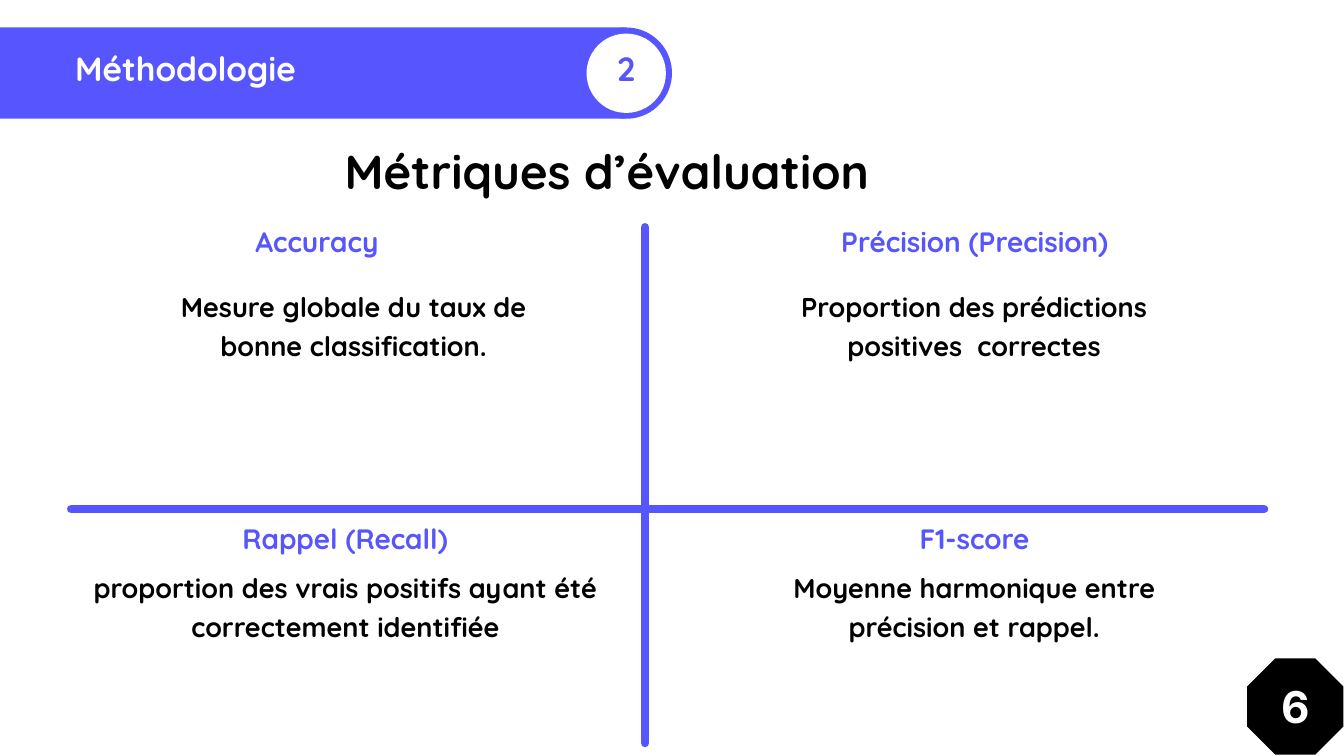
from dataclasses import dataclass

import pptx
import pptx.dml.color
import pptx.enum.shapes
import pptx.enum.text
import pptx.oxml
import pptx.oxml.ns
import pptx.util

Cm = pptx.util.Cm
Pt = pptx.util.Pt
Kind = pptx.enum.shapes.MSO_SHAPE
Align = pptx.enum.text.PP_ALIGN
Anchor = pptx.enum.text.MSO_ANCHOR


@dataclass(frozen=True)
class Style:
    font: str
    size: float
    lead: float
    color: str


class Theme:
    violet = "5755FE"
    white = "FFFFFF"
    black = "000000"
    stroke = 9
    title = Style("Quicksand", 51, 61.2, black)
    band = Style("Quicksand", 36, 43.2, white)
    step = Style("Quicksand", 36, 43.2, violet)
    head = Style("Quicksand", 30, 36, violet)
    body = Style("Quicksand", 29.1, 41.3, black)
    page = Style("Inter", 47, 65.8, white)


def rgb(code):
    return pptx.dml.color.RGBColor.from_string(code)


def write(shape, text, style, align=Align.CENTER, anchor=Anchor.TOP):
    frame = shape.text_frame
    frame.text = text
    frame.word_wrap = True
    frame.auto_size = pptx.enum.text.MSO_AUTO_SIZE.NONE
    frame.vertical_anchor = anchor
    frame.margin_left = frame.margin_right = Cm(0)
    frame.margin_top = frame.margin_bottom = Cm(0)
    for para in frame.paragraphs:
        para.alignment = align
        para.line_spacing = Pt(style.lead)
        for run in para.runs:
            run.font.name = style.font
            run.font.size = Pt(style.size)
            run.font.bold = True
            run.font.color.rgb = rgb(style.color)


def label(slide, box, text, style, align=Align.CENTER):
    shape = slide.shapes.add_textbox(*map(Cm, box))
    write(shape, text, style, align)


def block(slide, kind, box, color):
    shape = slide.shapes.add_shape(kind, *map(Cm, box))
    shape.shadow.inherit = False
    shape.fill.solid()
    shape.fill.fore_color.rgb = rgb(color)
    shape.line.fill.background()
    return shape


def rule(slide, *ends):
    straight = pptx.enum.shapes.MSO_CONNECTOR.STRAIGHT
    line = slide.shapes.add_connector(straight, *map(Cm, ends))
    line.line.color.rgb = rgb(Theme.violet)
    line.line.width = Pt(Theme.stroke)
    props = line._element.spPr
    props.find(pptx.oxml.ns.qn("a:ln")).set("cap", "rnd")
    props.append(pptx.oxml.parse_xml(f"<a:effectLst {pptx.oxml.ns.nsdecls('a')}/>"))


def banner(slide):
    block(slide, Kind.RECTANGLE, (0, 1.04, 23.65, 3.45), Theme.violet)
    block(slide, Kind.OVAL, (21.95, 1.04, 3.45, 3.45), Theme.violet)
    block(slide, Kind.OVAL, (22.17, 1.27, 3, 3), Theme.white)
    label(slide, (2.84, 1.8, 18.62, 1.73), "Méthodologie", Theme.band, Align.LEFT)
    label(slide, (22.94, 1.8, 1.45, 1.73), "2", Theme.step)


def title(slide):
    shape = slide.shapes.title
    shape.left, shape.top = Cm(12.09), Cm(5.36)
    shape.width, shape.height = Cm(21.69), Cm(2.44)
    write(shape, "Métriques d’évaluation", Theme.title)


def grid(slide):
    rule(slide, 2.69, 19.25, 47.78, 19.25)
    rule(slide, 24.38, 28.09, 24.38, 8.59)
    rows = (
        (8.48, 10.77, (
            ("Accuracy", 9.65, 6.81, Align.LEFT,
             "Mesure globale du taux de bonne classification.", 6.22, 14.3),
            ("Précision (Precision)", 25.73, 22.23, Align.CENTER,
             "Proportion des prédictions positives  correctes", 28.42, 16.81))),
        (19.71, 21.39, (
            ("Rappel (Recall)", 5.59, 14.91, Align.CENTER,
             "proportion des vrais positifs ayant été correctement identifiée", 3.32, 19.48),
            ("F1-score", 33.76, 6.15, Align.CENTER,
             "Moyenne harmonique entre précision et rappel.", 28.12, 17.42))),
    )
    for top, below, cells in rows:
        for name, left, width, align, text, start, span in cells:
            label(slide, (left, top, width, 1.45), name, Theme.head, align)
            label(slide, (start, below, span, 3), text, Theme.body)


def badge(slide):
    shape = block(slide, Kind.OCTAGON, (47.14, 24.89, 3.64, 3.64), Theme.black)
    write(shape, "6", Theme.page, anchor=Anchor.MIDDLE)
    shape.text_frame.margin_bottom = Cm(0.36)


def main():
    """Build the slide on evaluation metrics and save it."""
    deck = pptx.Presentation()
    deck.slide_width, deck.slide_height = Cm(50.8), Cm(28.58)
    slide = deck.slides.add_slide(deck.slide_layouts[5])
    banner(slide)
    title(slide)
    grid(slide)
    badge(slide)
    deck.save("out.pptx")


if __name__ == "__main__":
    main()
